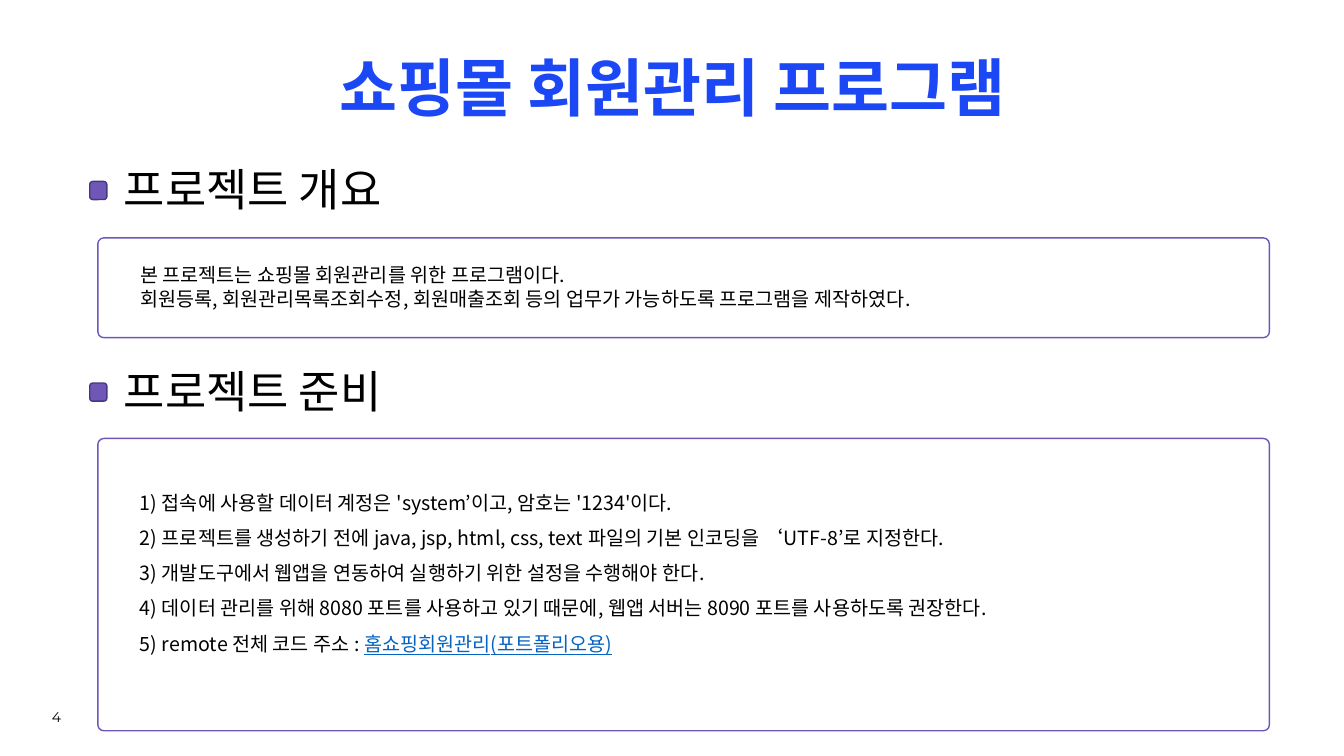
from dataclasses import dataclass

from lxml.etree import SubElement
from pptx import Presentation
from pptx.dml.color import RGBColor
from pptx.enum.shapes import MSO_SHAPE as Shape
from pptx.enum.text import MSO_ANCHOR as Anchor, PP_ALIGN as Align
from pptx.oxml.ns import qn
from pptx.util import Inches, Pt

SANS = "Noto Sans CJK KR"
BLACK, BLUE, LINK = "000000", "1B48F4", "0563C1"
PURPLE, DARK = "6F57B7", "48367E"


@dataclass
class Box:
    left: float
    top: float
    width: float
    height: float

    def place(self) -> list:
        return [Inches(v) for v in (self.left, self.top, self.width, self.height)]


@dataclass
class Part:
    title: str
    top: float       # top of the heading
    frame: Box
    body: Box
    lines: list
    lead: float      # line height as a multiple of the text size


PARTS = [
    Part("프로젝트 개요", 1.56, Box(0.97, 2.36, 11.62, 0.99),
         Box(1.29, 2.56, 8.01, 0.56),
         ["본 프로젝트는 쇼핑몰 회원관리를 위한 프로그램이다.",
          "회원등록, 회원관리목록조회수정, 회원매출조회 등의 업무가 가능하도록 "
          "프로그램을 제작하였다."], 1.2),
    Part("프로젝트 준비", 3.56, Box(0.97, 4.35, 11.62, 2.9),
         Box(1.29, 4.7, 9.36, 1.85),
         ["1) 접속에 사용할 데이터 계정은 'system’이고, 암호는 '1234'이다.",
          "2) 프로젝트를 생성하기 전에 java, jsp, html, css, text 파일의 "
          "기본 인코딩을 ‘UTF-8’로 지정한다.",
          "3) 개발도구에서 웹앱을 연동하여 실행하기 위한 설정을 수행해야 한다.",
          "4) 데이터 관리를 위해 8080 포트를 사용하고 있기 때문에, "
          "웹앱 서버는 8090 포트를 사용하도록 권장한다.",
          ("5) remote 전체 코드 주소 : ", "홈쇼핑회원관리(포트폴리오용)")], 1.8),
]


def hue(code: str) -> RGBColor:
    return RGBColor.from_string(code)


def add_run(para, text: str, color: str, face: str, **style) -> None:
    run = para.add_run()
    run.text = text
    for key, value in {"name": face, **style}.items():
        setattr(run.font, key, value)
    run.font.color.rgb = hue(color)
    # East Asian typeface
    SubElement(run.font._element, qn("a:ea")).set("typeface", face)


def add_text(slide, box: Box, lines: list, size: int, color: str = BLACK,
             lead: float = 1.2, align=Align.LEFT, anchor=Anchor.TOP,
             face: str = SANS, bold: bool = False) -> None:
    frame = slide.shapes.add_textbox(*box.place()).text_frame
    frame.word_wrap = True
    frame.vertical_anchor = anchor
    for i, line in enumerate(lines):
        para = frame.paragraphs[0] if i == 0 else frame.add_paragraph()
        para.alignment = align
        para.line_spacing = Pt(size * lead)
        text, link = line if isinstance(line, tuple) else (line, "")
        style = {"size": Pt(size), "bold": bold}
        add_run(para, text, color, face, **style)
        if link:
            add_run(para, link, LINK, face, underline=True, **style)


def add_round(slide, box: Box, radius: float, edge: str, fill: str = "") -> None:
    shape = slide.shapes.add_shape(Shape.ROUNDED_RECTANGLE, *box.place())
    shape.shadow.inherit = False
    shape.adjustments[0] = radius / min(box.width, box.height)
    if fill:
        shape.fill.solid()
        shape.fill.fore_color.rgb = hue(fill)
    else:
        shape.fill.background()
    shape.line.color.rgb = hue(edge)
    shape.line.width = Pt(1)


def add_part(slide, part: Part) -> None:
    add_text(slide, part.body, part.lines, 14, lead=part.lead)
    add_text(slide, Box(1.13, part.top, 3.05, 0.64), [part.title], 32)
    add_round(slide, Box(0.89, part.top + 0.24, 0.17, 0.18), 0.03, DARK, PURPLE)
    add_round(slide, part.frame, 0.06, PURPLE)


def main() -> None:
    deck = Presentation()
    deck.slide_width, deck.slide_height = Inches(13.33), Inches(7.5)
    slide = deck.slides.add_slide(deck.slide_layouts[6])

    # Page number and title
    mid = {"align": Align.CENTER, "anchor": Anchor.MIDDLE}
    add_text(slide, Box(0.27, 6.91, 0.58, 0.4), ["4"], 10, face="Montserrat", **mid)
    add_text(slide, Box(1.67, 0.43, 10, 0.85), ["쇼핑몰 회원관리 프로그램"], 45,
             BLUE, bold=True, **mid)

    # Headed sections
    for part in PARTS:
        add_part(slide, part)

    deck.save("out.pptx")


if __name__ == "__main__":
    main()
